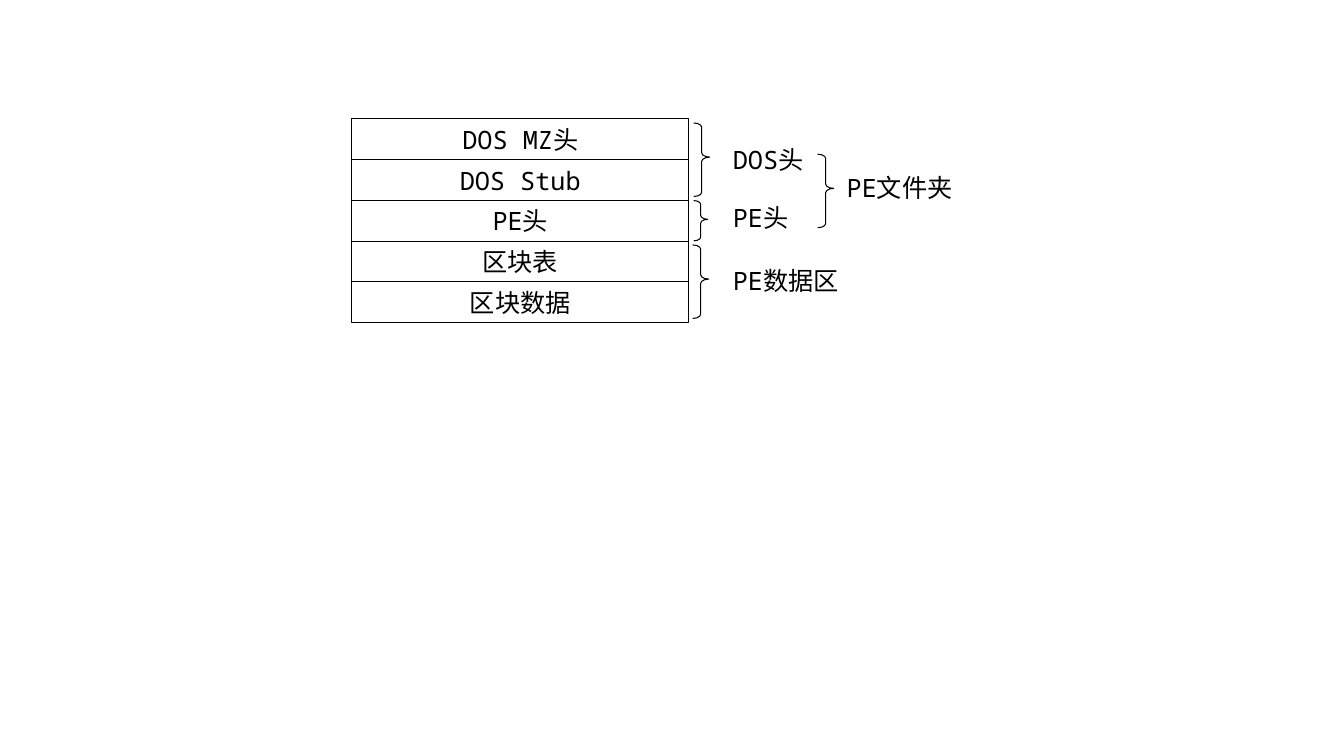
from pptx import Presentation
from pptx.dml.color import RGBColor
from pptx.enum.lang import MSO_LANGUAGE_ID
from pptx.enum.shapes import MSO_SHAPE
from pptx.enum.text import MSO_ANCHOR, MSO_AUTO_SIZE, PP_ALIGN
from pptx.util import Inches, Pt


def color(hex_string):
    return RGBColor.from_string(hex_string)


class Diagram:
    """Holds the style and the group that receives the elements."""

    font_name = "Noto Sans Mono"
    font_size = Pt(18)
    ink = "000000"
    line_width = Pt(0.75)

    def __init__(self, page):
        self.shapes = page.shapes.add_group_shape().shapes

    def outline(self, kind, left, top, width, height):
        shape = self.shapes.add_shape(
            kind, Inches(left), Inches(top), Inches(width), Inches(height))
        shape.shadow.inherit = False
        shape.fill.background()
        shape.line.color.rgb = color(self.ink)
        shape.line.width = self.line_width
        return shape

    def add_text(self, shape, text, alignment, anchor):
        frame = shape.text_frame
        frame.word_wrap = True
        frame.auto_size = MSO_AUTO_SIZE.SHAPE_TO_FIT_TEXT
        frame.vertical_anchor = anchor
        para = frame.paragraphs[0]
        para.alignment = alignment
        span = para.add_run()
        span.text = text
        span.font.name = self.font_name
        span.font.size = self.font_size
        span.font.color.rgb = color(self.ink)
        span.font.language_id = MSO_LANGUAGE_ID.SIMPLIFIED_CHINESE

    def block(self, text, left, top, width, height):
        box = self.outline(MSO_SHAPE.RECTANGLE, left, top, width, height)
        self.add_text(box, text, PP_ALIGN.CENTER, MSO_ANCHOR.MIDDLE)

    def brace(self, left, top, width, height):
        brace = self.outline(MSO_SHAPE.RIGHT_BRACE, left, top, width, height)
        brace.adjustments[0] = 0.267
        brace.adjustments[1] = 0.465

    def label(self, text, left, top, width):
        box = self.shapes.add_textbox(
            Inches(left), Inches(top), Inches(width), Inches(0.4))
        self.add_text(box, text, PP_ALIGN.LEFT, MSO_ANCHOR.TOP)


def main():
    deck = Presentation()
    deck.slide_width = Inches(13.33)
    deck.slide_height = Inches(7.5)
    page = deck.slides.add_slide(deck.slide_layouts[6])
    diagram = Diagram(page)

    # Stacked sections of the PE file
    row_height = 2.02 / 5
    sections = ["DOS MZ头", "DOS Stub", "PE头", "区块表", "区块数据"]
    for row, text in enumerate(sections):
        diagram.block(text, 3.49, 1.18 + row * row_height, 3.34, row_height)

    # Braces: three for the sections, one for the two headers together
    for left, top, width, height in [
        (6.88, 1.22, 0.16, 0.73),
        (6.88, 1.99, 0.14, 0.4),
        (6.87, 2.43, 0.16, 0.73),
        (8.11, 1.53, 0.16, 0.73),
    ]:
        diagram.brace(left, top, width, height)

    # Labels beside the braces
    for text, top in [("DOS头", 1.38), ("PE头", 1.96), ("PE数据区", 2.58)]:
        diagram.label(text, 7.17, top, 1.25)
    diagram.label("PE文件夹", 8.3, 1.66, 1.3)

    deck.save("out.pptx")


if __name__ == "__main__":
    main()
